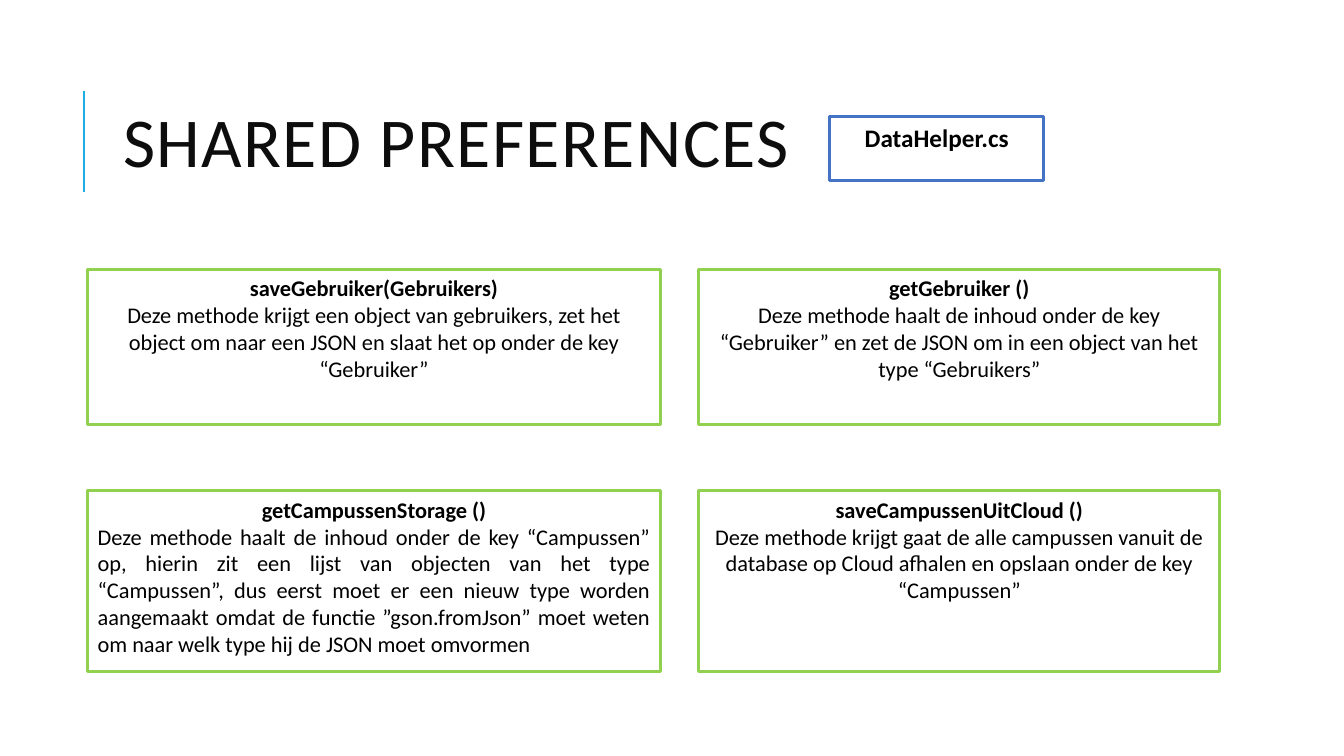
from lxml import etree
from pptx import Presentation
from pptx.dml.color import RGBColor
from pptx.enum import shapes, text
from pptx.oxml.ns import qn
from pptx.util import Inches, Pt

COLORS = {"accent": "1CADE4", "title": "0D0D0D", "file": "4472C4",
          "method": "92D050", "text": "000000"}
CENTER, JUSTIFY = text.PP_ALIGN.CENTER, text.PP_ALIGN.JUSTIFY

COLUMNS = [(0.87, 5.68), (6.93, 5.17)]  # left, width
ROWS = [(2.67, 1.54), (4.87, 1.79)]  # top, height
METHODS = [
    [("saveGebruiker(Gebruikers)",
      "Deze methode krijgt een object van gebruikers, zet het object om naar "
      "een JSON en slaat het op onder de key “Gebruiker”", CENTER),
     ("getGebruiker ()",
      "Deze methode haalt de inhoud onder de key “Gebruiker” en zet de JSON om "
      "in een object van het type “Gebruikers”", CENTER)],
    [("getCampussenStorage ()",
      "Deze methode haalt de inhoud onder de key “Campussen” op, hierin zit een "
      "lijst van objecten van het type “Campussen”, dus eerst moet er een nieuw "
      "type worden aangemaakt omdat de functie ”gson.fromJson” moet weten om "
      "naar welk type hij de JSON moet omvormen", JUSTIFY),
     ("saveCampussenUitCloud ()",
      "Deze methode krijgt gaat de alle campussen vanuit de database op Cloud "
      "afhalen en opslaan onder de key “Campussen”", CENTER)],
]


class SlideBuilder:
    font = "Calibri"

    def __init__(self, slide):
        self.s = slide

    def color(self, name):
        return RGBColor.from_string(COLORS[name])

    def style(self, p, size, color="text", bold=False, align=None):
        p.alignment = align
        p.font.name, p.font.size, p.font.bold = self.font, Pt(size), bold
        p.font.color.rgb = self.color(color)

    def title(self, words, left, top, width, height):
        sp = self.s.shapes.title
        sp.left, sp.top, sp.width, sp.height = map(Inches, (left, top, width, height))
        tf = sp.text_frame
        tf.text = words
        tf.vertical_anchor = text.MSO_ANCHOR.MIDDLE
        p = tf.paragraphs[0]
        self.style(p, 50, "title", align=text.PP_ALIGN.LEFT)
        p.line_spacing = 0.8
        p.runs[0].font._element.set("spc", "100")

    def line(self, x1, y1, x2, y2, color, width):
        cn = self.s.shapes.add_connector(
            shapes.MSO_CONNECTOR.STRAIGHT, *map(Inches, (x1, y1, x2, y2)))
        cn.line.color.rgb = self.color(color)
        cn.line.width = Pt(width)
        etree.SubElement(cn._element.spPr, qn("a:effectLst"))

    def box(self, left, top, width, height, color, heading, size, body=None, align=CENTER):
        """Outlined box with a bold heading and an optional paragraph below it."""
        sp = self.s.shapes.add_shape(
            shapes.MSO_SHAPE.RECTANGLE, *map(Inches, (left, top, width, height)))
        sp.shadow.inherit = False
        sp.fill.background()
        sp.line.color.rgb = self.color(color)
        sp.line.width = Pt(2.25)
        tf = sp.text_frame
        tf.word_wrap = True
        tf.vertical_anchor = text.MSO_ANCHOR.TOP
        tf.text = heading
        self.style(tf.paragraphs[0], size, bold=True, align=CENTER)
        if body:
            p = tf.add_paragraph()
            p.text = body
            self.style(p, size, align=align)


def main():
    prs = Presentation()
    prs.slide_width, prs.slide_height = Inches(13.33), Inches(7.5)
    title_only = prs.slide_layouts[5]
    b = SlideBuilder(prs.slides.add_slide(title_only))

    b.line(0.83, 1.9, 0.83, 0.9, "accent", 1.5)
    b.title("SHARED PREFERENCES", 1.12, 0.64, 10.63, 1.64)
    b.box(8.23, 1.16, 2.12, 0.63, "file", "DataHelper.cs", 18)
    for (top, height), row in zip(ROWS, METHODS):
        for (left, width), (name, body, align) in zip(COLUMNS, row):
            b.box(left, top, width, height, "method", name, 16, body, align)

    prs.save("out.pptx")


if __name__ == "__main__":
    main()
